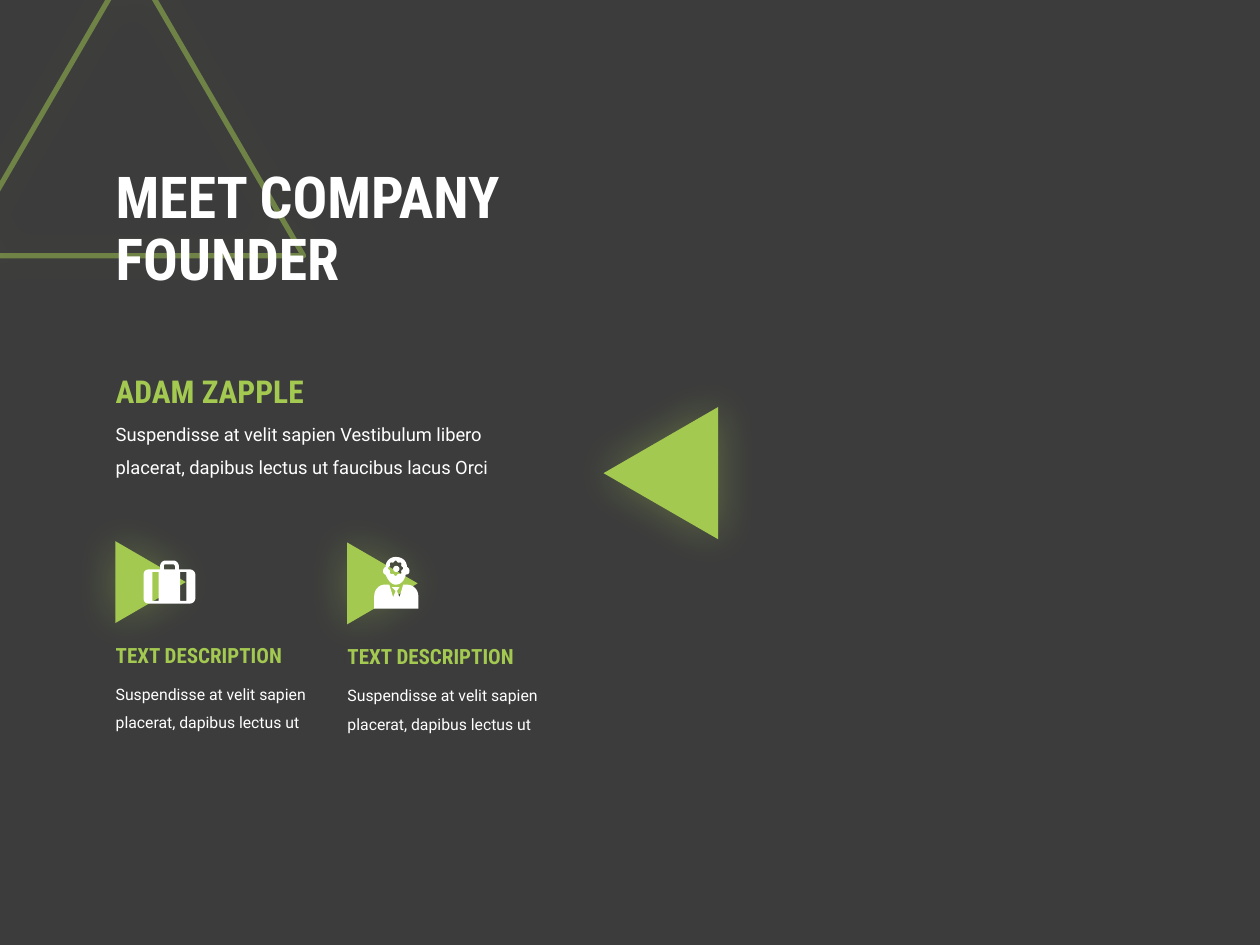
"""Build the company founder slide."""
from dataclasses import dataclass
from math import cos, pi, sin

from lxml.etree import SubElement
from pptx import Presentation
from pptx.dml.color import RGBColor
from pptx.enum.shapes import MSO_SHAPE
from pptx.enum.text import MSO_ANCHOR, MSO_AUTO_SIZE
from pptx.oxml.ns import qn
from pptx.util import Inches, Pt


@dataclass(frozen=True)
class Theme:
    """Colours, fonts and type sizes of the slide."""
    background: RGBColor = RGBColor(0x3C, 0x3C, 0x3C)
    accent: RGBColor = RGBColor(0xA3, 0xC9, 0x51)
    light: RGBColor = RGBColor(0xFF, 0xFF, 0xFF)
    heading_font: str = "Roboto Condensed"
    body_font: str = "Roboto"
    title_size: float = 33
    name_size: float = 18
    heading_size: float = 12
    intro_size: float = 10.5
    body_size: float = 9


THEME = Theme()

HANDBAG = [
    (1.18, 4.52), (1.27, 4.52), (1.27, 4.5), (1.27, 4.47, 1.29, 4.45, 1.31, 4.45),
    (1.38, 4.45), (1.4, 4.45, 1.42, 4.47, 1.42, 4.5), (1.42, 4.52),
    (1.51, 4.52), (1.53, 4.52, 1.55, 4.54, 1.55, 4.56),
    (1.55, 4.75), (1.55, 4.77, 1.53, 4.79, 1.51, 4.79),
    (1.18, 4.79), (1.15, 4.79, 1.14, 4.77, 1.14, 4.75),
    (1.14, 4.56), (1.14, 4.54, 1.15, 4.52, 1.18, 4.52),
]
HANDLE_GAP = [
    (1.39, 4.52), (1.3, 4.52), (1.3, 4.5), (1.3, 4.49, 1.3, 4.48, 1.31, 4.48),
    (1.38, 4.48), (1.38, 4.48, 1.39, 4.49, 1.39, 4.5),
]
SUIT = [
    (3.23, 4.64), (3.2, 4.64), (3.17, 4.74), (3.15, 4.69), (3.17, 4.66),
    (3.16, 4.66, 3.13, 4.66, 3.11, 4.66), (3.14, 4.69), (3.12, 4.74),
    (3.09, 4.64), (3.05, 4.64), (3.01, 4.64, 2.97, 4.68, 2.97, 4.73),
    (2.97, 4.83), (3.32, 4.83), (3.32, 4.73), (3.32, 4.68, 3.28, 4.64, 3.23, 4.64),
]
HEAD = [
    (3.23, 4.5), (3.23, 4.45, 3.19, 4.42, 3.14, 4.42),
    (3.1, 4.42, 3.06, 4.45, 3.06, 4.5), (3.05, 4.5, 3.04, 4.52, 3.04, 4.53),
    (3.04, 4.55, 3.05, 4.56, 3.06, 4.56), (3.08, 4.61, 3.11, 4.64, 3.14, 4.64),
    (3.18, 4.64, 3.21, 4.61, 3.22, 4.56), (3.24, 4.56, 3.25, 4.55, 3.25, 4.53),
    (3.25, 4.52, 3.24, 4.5, 3.23, 4.5),
]


def flatten(outline, steps=8):
    """Turn points and cubic curve segments into a list of points."""
    points = []
    for segment in outline:
        if len(segment) == 2:
            points.append(segment)
            continue
        start, first, second, end = points[-1], segment[:2], segment[2:4], segment[4:]
        for step in range(1, steps + 1):
            t = step / steps
            u = 1 - t
            points.append(tuple(
                u**3 * a + 3 * u * u * t * b + 3 * u * t * t * c + t**3 * d
                for a, b, c, d in zip(start, first, second, end)))
    return points


def gear(center_x, center_y, outer, inner, teeth=8):
    """Return the outline of a gear with even teeth."""
    points = []
    for corner in range(teeth * 4):
        radius = outer if corner % 4 < 2 else inner
        angle = 2 * pi * (corner - 0.5) / (teeth * 4)
        points.append((center_x + radius * cos(angle), center_y + radius * sin(angle)))
    return points


def rectangle(left, top, width, height):
    """Return the corners of a rectangle."""
    right, bottom = left + width, top + height
    return [(left, top), (right, top), (right, bottom), (left, bottom)]


def paint(shape, color):
    """Give a shape a flat fill without line or shadow."""
    shape.shadow.inherit = False
    shape.fill.solid()
    shape.fill.fore_color.rgb = color
    shape.line.fill.background()


def add_outline(shapes, *outlines):
    """Add a light freeform whose later outlines are holes."""
    builder = None
    for outline in outlines:
        start, *rest = [(Inches(x), Inches(y)) for x, y in flatten(outline)]
        if builder is None:
            builder = shapes.build_freeform(*start)
        else:
            builder.move_to(*start)
        builder.add_line_segments(rest, close=True)
    paint(builder.convert_to_shape(), THEME.light)


def add_alpha(color_element, percent):
    """Set the opacity of a colour element."""
    SubElement(color_element, qn("a:alpha")).set("val", str(percent * 1000))


def add_triangle(page, left, top, width, height, rotation=0, outlined=False):
    """Add a glowing triangle, filled or outlined."""
    shape = page.shapes.add_shape(MSO_SHAPE.ISOSCELES_TRIANGLE, Inches(left),
                                  Inches(top), Inches(width), Inches(height))
    shape.rotation = rotation
    paint(shape, THEME.accent)
    properties = shape._element.spPr
    if outlined:
        shape.fill.background()
        shape.line.color.rgb = THEME.accent
        shape.line.width = Pt(3)
        add_alpha(properties.find(qn("a:ln")).find(".//" + qn("a:srgbClr")), 50)
    glow = SubElement(properties.find(qn("a:effectLst")), qn("a:outerShdw"),
                      blurRad=str(Pt(25)), dist="0", dir="0", algn="ctr", rotWithShape="0")
    add_alpha(SubElement(glow, qn("a:srgbClr"), val=str(THEME.accent)), 35)


def add_text(page, text, left, top, width, height, *, size, color=THEME.light,
             font=THEME.body_font, bold=False, spacing=1.0, anchor=MSO_ANCHOR.TOP, grow=True):
    """Add a wrapped text box with one formatted paragraph."""
    box = page.shapes.add_textbox(Inches(left), Inches(top), Inches(width), Inches(height))
    frame = box.text_frame
    frame.word_wrap = True
    frame.vertical_anchor = anchor
    frame.auto_size = MSO_AUTO_SIZE.SHAPE_TO_FIT_TEXT if grow else MSO_AUTO_SIZE.NONE
    para = frame.paragraphs[0]
    para.line_spacing = spacing
    for index, line in enumerate(text.split("\n")):
        if index:
            para.add_line_break()
        span = para.add_run()
        span.text = line
        span.font.name = font
        span.font.size = Pt(size)
        span.font.bold = bold
        span.font.color.rgb = color


def add_heading(page, text, *place, size, color=THEME.accent, **options):
    """Add bold condensed text."""
    add_text(page, text, *place, size=size, color=color,
             font=THEME.heading_font, bold=True, **options)


def add_description(page, left, drop):
    """Add a triangle with a heading and a short text below it."""
    add_triangle(page, left + 0.05, 4.34 + drop, 0.65, 0.56, rotation=90)
    add_text(page, "Suspendisse at velit sapien placerat, dapibus lectus ut",
             left, 5.31 + drop, 1.74, 0.53, size=THEME.body_size, spacing=1.5)
    add_heading(page, "TEXT DESCRIPTION", left, 5.05 + drop, 1.66, 0.3,
                size=THEME.heading_size)


def add_briefcase(page):
    """Add the briefcase icon."""
    straps = [rectangle(left, 4.54, 0.05, 0.23) for left in (1.21, 1.43)]
    add_outline(page.shapes, HANDBAG, HANDLE_GAP, *straps)


def add_thinker(page):
    """Add the icon of a person with a gear in the head."""
    shapes = page.shapes.add_group_shape().shapes
    add_outline(shapes, SUIT)
    add_outline(shapes, HEAD, gear(3.14, 4.51, 0.06, 0.05))
    hub = shapes.add_shape(MSO_SHAPE.OVAL, Inches(3.12), Inches(4.49),
                           Inches(0.05), Inches(0.05))
    paint(hub, THEME.light)


def main():
    """Build and save the deck."""
    deck = Presentation()
    deck.slide_width, deck.slide_height = Inches(10), Inches(7.5)
    page = deck.slides.add_slide(deck.slide_layouts[6])
    page.background.fill.solid()
    page.background.fill.fore_color.rgb = THEME.background
    add_triangle(page, -0.32, -0.32, 2.73, 2.35, outlined=True)
    add_heading(page, "MEET COMPANY\nFOUNDER", 0.82, 1.04, 4.22, 1.58, size=THEME.title_size,
                color=THEME.light, spacing=0.9, anchor=MSO_ANCHOR.MIDDLE, grow=False)
    add_triangle(page, 4.72, 3.3, 1.05, 0.91, rotation=270)
    add_text(page, "Suspendisse at velit sapien Vestibulum libero placerat, "
             "dapibus lectus ut faucibus lacus Orci",
             0.82, 3.22, 3.38, 0.6, size=THEME.intro_size, spacing=1.5)
    add_heading(page, "ADAM ZAPPLE", 0.82, 2.9, 1.84, 0.4, size=THEME.name_size)
    for left, drop in ((0.82, 0), (2.66, 0.01)):
        add_description(page, left, drop)
    add_briefcase(page)
    add_thinker(page)
    deck.save("out.pptx")


if __name__ == "__main__":
    main()
